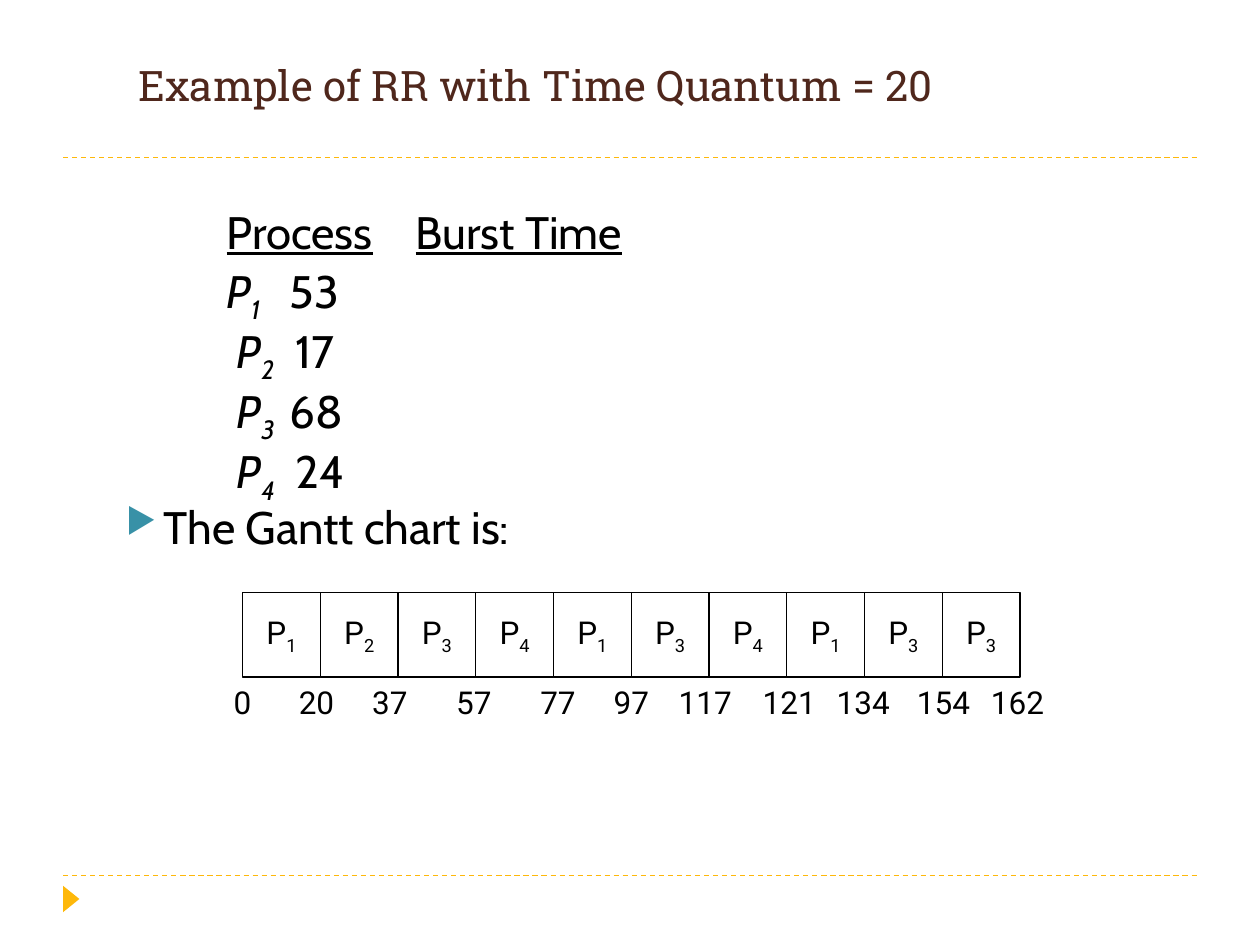
from collections import namedtuple
from lxml.etree import SubElement
from pptx import Presentation
from pptx.dml.color import RGBColor
from pptx.enum.dml import MSO_LINE_DASH_STYLE as DASH
from pptx.enum.shapes import MSO_CONNECTOR as CONN, MSO_SHAPE as SHAPE
from pptx.enum.text import MSO_ANCHOR as ANCHOR, PP_ALIGN as ALIGN
from pptx.oxml.ns import qn
from pptx.util import Inches, Pt

Box = namedtuple("Box", "x y w h")
COLS, ROWS, UNIT = 20, 15, 0.5
GOLD, BROWN, TEAL, BLACK, WHITE = "FEB80A", "4F271C", "3891A7", "000000", "FFFFFF"
TITLE = "Example of RR with Time Quantum = 20"
BURSTS = [("\t\t", "1", "\t", "53"), ("\t\t ", "2", "\t ", "17"),
          ("\t\t ", "3", "\t", "68"), ("\t\t ", "4", "\t ", "24")]
ORDER = "1234134133"
TIMES = [(0, 0), (20, -0.06), (37, -0.13), (57, -0.03), (77, 0.07), (97, 0),
         (117, -0.06), (121, 0.04), (134, -0.02), (154, 0.02), (162, -0.04)]


def grid(n):
    """Turn grid units into a length."""
    return Inches(n * UNIT)


def place(box):
    """Turn a grid box into left, top, width and height."""
    return [grid(n) for n in box]


def color(value):
    """Turn a hex string into a colour."""
    return RGBColor.from_string(value)


def add_run(p, text, font="Roboto", size=18, fill=BLACK, italic=False,
            underline=False, sub=False):
    """Add one formatted run to a paragraph."""
    r = p.add_run()
    r.text = text
    f = r.font
    f.name, f.size, f.italic, f.underline = font, Pt(size), italic, underline
    f.color.rgb = color(fill)
    if sub:
        r._r.get_or_add_rPr().set("baseline", "-25000")


def add_box(shapes, box, anchor=ANCHOR.TOP, wrap=True):
    """Add a text box and return its text frame."""
    tf = shapes.add_textbox(*place(box)).text_frame
    tf.word_wrap, tf.vertical_anchor = wrap, anchor
    return tf


def add_rule(s, box):
    """Draw a dashed rule along the top of a box."""
    line = s.shapes.add_connector(CONN.STRAIGHT, grid(box.x), grid(box.y),
                                  grid(box.x + box.w), grid(box.y))
    line.line.color.rgb = color(GOLD)
    line.line.width = Pt(0.75)
    line.line.dash_style = DASH.DASH
    SubElement(line._element.spPr, qn("a:effectLst"))


def add_frame(s, box):
    """Draw the two rules and the corner marker."""
    add_rule(s, box)
    add_rule(s, box._replace(y=box.y + box.h))
    sp = s.shapes.add_shape(SHAPE.ISOSCELES_TRIANGLE,
                            *place(Box(box.x - 0.08, box.y + box.h + 0.24, 0.42, 0.26)))
    sp.rotation = 90
    sp.shadow.inherit = False
    sp.fill.solid()
    sp.fill.fore_color.rgb = color(GOLD)
    sp.line.fill.background()


def add_title(s, box):
    """Write the slide title."""
    tf = add_box(s.shapes, box, ANCHOR.BOTTOM)
    add_run(tf.paragraphs[0], TITLE, font="Roboto Slab", size=24, fill=BROWN)


def add_body_line(tf, first=False, bullet=False):
    """Add a hanging body paragraph, with a triangle bullet if asked."""
    p = tf.paragraphs[0] if first else tf.add_paragraph()
    pPr = p._p.get_or_add_pPr()
    pPr.set("marL", str(Inches(0.3)))
    pPr.set("indent", str(Inches(-0.3)))
    p.line_spacing = 0.8
    p.space_before = Pt(0 if first else 6)
    if bullet:
        SubElement(SubElement(pPr, qn("a:buClr")), qn("a:srgbClr"), val=TEAL)
        SubElement(pPr, qn("a:buSzPct"), val="76000")
        SubElement(pPr, qn("a:buChar"), char="▶")
    return p


def add_bursts(s, box):
    """List the processes with their burst times."""
    style = dict(font="Cabin", size=26)
    tf = add_box(s.shapes, box)
    p = add_body_line(tf, first=True)
    for text, underline in [("\t\t", False), ("Process", True),
                            ("\t", False), ("Burst Time", True)]:
        add_run(p, text, underline=underline, **style)
    for lead, number, gap, burst in BURSTS:
        p = add_body_line(tf)
        add_run(p, lead + "P", italic=True, **style)
        add_run(p, number + gap, italic=True, sub=True, **style)
        add_run(p, burst, **style)
    add_run(add_body_line(tf, bullet=True), "The Gantt chart is:", **style)


def add_slot(shapes, box, number):
    """Draw one time slot of the Gantt chart."""
    sp = shapes.add_shape(SHAPE.RECTANGLE, *place(box))
    sp.shadow.inherit = False
    sp.fill.solid()
    sp.fill.fore_color.rgb = color(WHITE)
    sp.line.color.rgb = color(BLACK)
    sp.line.width = Pt(0.75)
    tf = sp.text_frame
    tf.word_wrap, tf.vertical_anchor = False, ANCHOR.MIDDLE
    p = tf.paragraphs[0]
    p.alignment = ALIGN.CENTER
    add_run(p, "P")
    add_run(p, number, sub=True)


def add_gantt(s, box):
    """Draw the row of slots with the times below it."""
    shapes = s.shapes.add_group_shape().shapes
    step, bar = box.w / len(ORDER), box.h * 0.63
    for i, number in enumerate(ORDER):
        add_slot(shapes, Box(box.x + i * step, box.y, step, bar), number)
    for i, (time, nudge) in enumerate(TIMES):
        width = 0.4 + 0.28 * len(str(time))
        left = box.x + i * step + nudge - width / 2
        tf = add_box(shapes, Box(left, box.y + bar, width, box.h - bar),
                     ANCHOR.MIDDLE, wrap=False)
        tf.paragraphs[0].alignment = ALIGN.CENTER
        add_run(tf.paragraphs[0], str(time))


def main():
    """Build and save the slide."""
    prs = Presentation()
    prs.slide_width, prs.slide_height = grid(COLS), grid(ROWS)
    s = prs.slides.add_slide(prs.slide_layouts[6])
    add_frame(s, Box(1, 2.5, COLS - 2, 11.4))
    add_title(s, Box(2, 0, 17.62, 1.84))
    add_bursts(s, Box(1.8, 3.3, 16.08, 8.76))
    add_gantt(s, Box(3.85, 9.4, 12.34, 2.14))
    prs.save("out.pptx")


if __name__ == "__main__":
    main()
